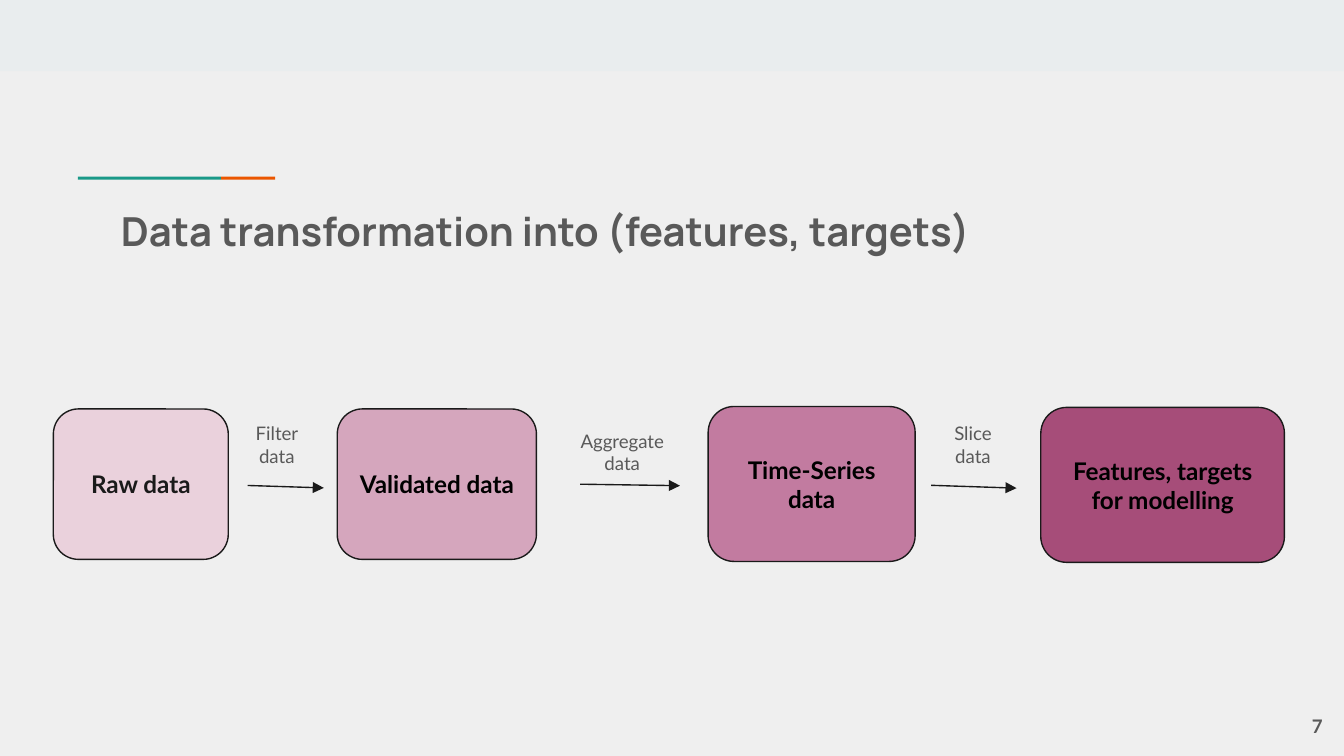
from dataclasses import dataclass

from lxml.etree import SubElement
from pptx import Presentation
from pptx.dml.color import RGBColor
from pptx.enum.shapes import MSO_CONNECTOR as Connector, MSO_SHAPE as Preset
from pptx.enum.text import MSO_ANCHOR as Anchor, MSO_AUTO_SIZE as AutoSize, PP_ALIGN as Align
from pptx.oxml.ns import qn
from pptx.util import Pt


@dataclass(frozen=True)
class Theme:
    background: str = "EFEFEF"
    band: str = "E9EDEE"
    teal: str = "1A9988"
    orange: str = "EB5600"
    ink: str = "1A1A1A"
    black: str = "000000"
    grey: str = "595959"
    title_font: str = "Manrope"
    body_font: str = "Lato"
    title_size: float = 21.4
    stage_size: float = 13
    label_size: float = 10
    line_width: float = 0.75
    inset: float = 7.2
    corner: float = 0.167


@dataclass(frozen=True)
class Frame:
    left: float
    top: float
    width: float
    height: float

    def lengths(self) -> tuple:
        return Pt(self.left), Pt(self.top), Pt(self.width), Pt(self.height)


@dataclass(frozen=True)
class Stage:
    text: str
    frame: Frame
    fill: str
    color: str


@dataclass(frozen=True)
class Step:
    """A labelled arrow between two stages."""
    text: str
    frame: Frame
    start: tuple[float, float]
    end: tuple[float, float]


THEME = Theme()

STAGES = [
    Stage("Raw data", Frame(28.6, 219.1, 93.7, 80.6), "EAD1DC", THEME.ink),
    Stage("Validated data", Frame(180.7, 219.1, 106.7, 80.6), "D5A6BD", THEME.black),
    Stage("Time-Series data", Frame(379.4, 217.8, 110.9, 83), "C27BA0", THEME.black),
    Stage("Features, targets for modelling", Frame(557.6, 218.3, 130.5, 83), "A64D79", THEME.black),
]

STEPS = [
    Step("Filter data", Frame(126.7, 218.9, 43.2, 38.9), (132.7, 260.1), (173.5, 261.4)),
    Step("Aggregate data", Frame(295.9, 223, 74.9, 31), (310.8, 259.4), (364.3, 260.2)),
    Step("Slice data", Frame(493.9, 218.9, 54.7, 28.1), (498.8, 260), (544.6, 261.5)),
]


def rgb(value: str) -> RGBColor:
    return RGBColor.from_string(value)


def write(shape, text: str, *, size: float, color: str, font: str = THEME.body_font,
          bold: bool = False, align=Align.CENTER, anchor=Anchor.TOP) -> None:
    box = shape.text_frame
    box.word_wrap = True
    box.auto_size = AutoSize.NONE
    box.vertical_anchor = anchor
    box.margin_left = box.margin_right = Pt(THEME.inset)
    box.margin_top = box.margin_bottom = Pt(THEME.inset)
    para = box.paragraphs[0]
    para.alignment = align
    para.space_before = Pt(0)
    span = para.add_run()
    span.text = text
    span.font.name = font
    span.font.size = Pt(size)
    span.font.bold = bold
    span.font.color.rgb = rgb(color)


def add_block(page, preset, frame: Frame, fill: str):
    """Add a filled preset shape without outline or shadow."""
    block = page.shapes.add_shape(preset, *frame.lengths())
    block.shadow.inherit = False
    block.fill.solid()
    block.fill.fore_color.rgb = rgb(fill)
    block.line.fill.background()
    return block


def add_stage(page, stage: Stage) -> None:
    block = add_block(page, Preset.ROUNDED_RECTANGLE, stage.frame, stage.fill)
    block.adjustments[0] = THEME.corner
    block.line.color.rgb = rgb(THEME.ink)
    block.line.width = Pt(THEME.line_width)
    write(block, stage.text, size=THEME.stage_size, color=stage.color, bold=True,
          anchor=Anchor.MIDDLE)


def add_arrow(page, start: tuple[float, float], end: tuple[float, float]) -> None:
    arrow = page.shapes.add_connector(Connector.STRAIGHT, *map(Pt, start + end))
    arrow.line.color.rgb = rgb(THEME.ink)
    arrow.line.width = Pt(THEME.line_width)
    SubElement(arrow.line._get_or_add_ln(), qn("a:tailEnd"), type="triangle")
    SubElement(arrow._element.spPr, qn("a:effectLst"))


def add_step(page, step: Step) -> None:
    add_arrow(page, step.start, step.end)
    label = page.shapes.add_textbox(*step.frame.lengths())
    write(label, step.text, size=THEME.label_size, color=THEME.grey)


def add_title(page, text: str, frame: Frame) -> None:
    title = page.shapes.title
    title.left, title.top, title.width, title.height = frame.lengths()
    write(title, text, size=THEME.title_size, color=THEME.grey, font=THEME.title_font,
          bold=True, align=Align.LEFT)


def main() -> None:
    deck = Presentation()
    deck.slide_width, deck.slide_height = Pt(720), Pt(405)
    page = deck.slides.add_slide(deck.slide_layouts[5])
    page.background.fill.solid()
    page.background.fill.fore_color.rgb = rgb(THEME.background)

    add_block(page, Preset.RECTANGLE, Frame(0, 0, 720, 38.2), THEME.band)
    add_block(page, Preset.RECTANGLE, Frame(118.4, 94.7, 29, 1.6), THEME.orange)
    add_block(page, Preset.RECTANGLE, Frame(41.8, 94.7, 76.6, 1.6), THEME.teal)
    add_title(page, "Data transformation into (features, targets)",
              Frame(57.6, 103.7, 605.5, 42.5))
    for stage in STAGES:
        add_stage(page, stage)
    for step in STEPS:
        add_step(page, step)
    number = page.shapes.add_textbox(*Frame(672.5, 373.7, 43.2, 31).lengths())
    write(number, "7", size=THEME.label_size, color=THEME.grey, bold=True,
          align=Align.RIGHT, anchor=Anchor.MIDDLE)
    deck.save("out.pptx")


if __name__ == "__main__":
    main()
